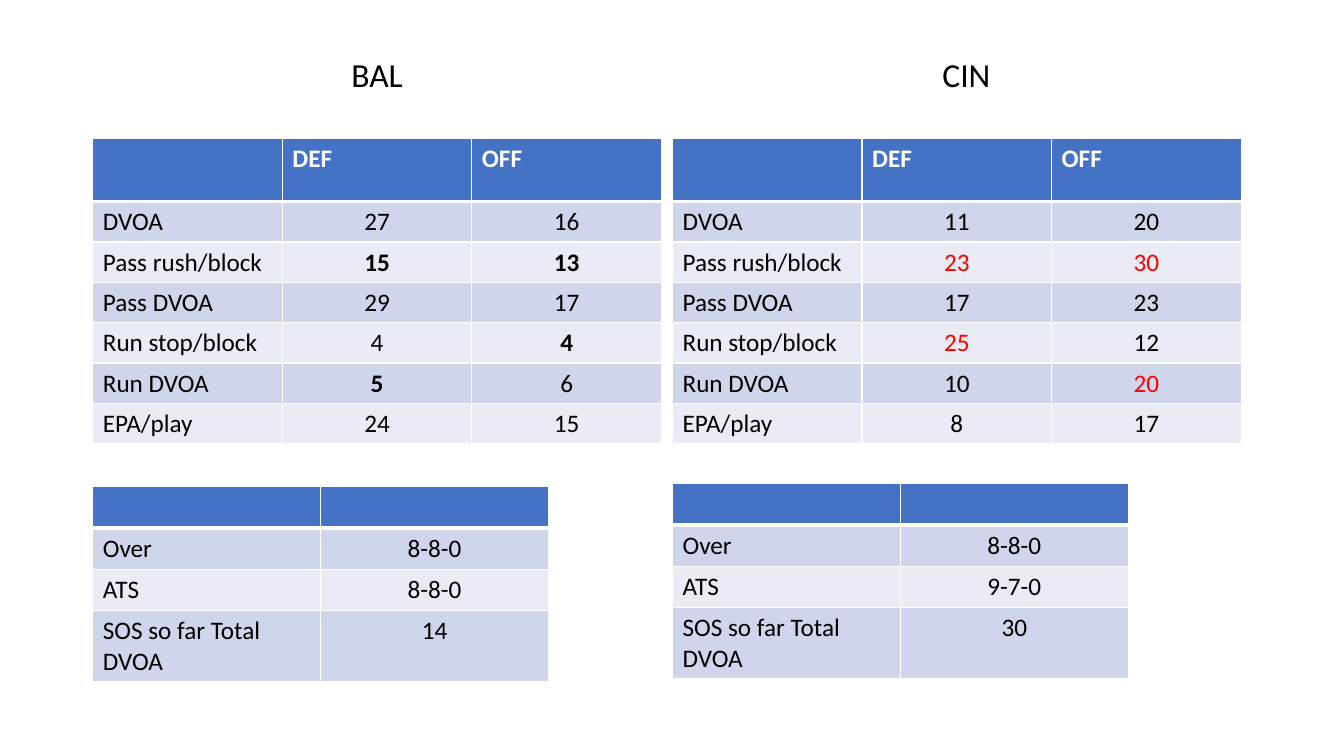
import pptx
import pptx.util
import pptx.dml.color
import pptx.enum.text
import pptx.oxml
import pptx.oxml.ns

COLORS = {
    "header": "4472C4",
    "odd": "CFD5EA",
    "even": "E9EBF5",
    "white": "FFFFFF",
    "black": "000000",
    "red": "FF0000",
}
RANK_LABELS = ["DVOA", "Pass rush/block", "Pass DVOA", "Run stop/block", "Run DVOA", "EPA/play"]
RECORD_LABELS = ["Over", "ATS", "SOS so far Total DVOA"]
BOLD = {"bold": True}
RED = {"color": "red"}
TEAMS = [
    {
        "name": "BAL",
        "left": 0.92,
        "title": (0.92, 5.64),
        "ranks": [(27, 16), (15, 13), (29, 17), (4, 4), (5, 6), (24, 15)],
        "marked": {(2, 1), (2, 2), (4, 2), (5, 1)},
        "mark": BOLD,
        "records": ["8-8-0", "8-8-0", "14"],
        "records_top": 4.83,
    },
    {
        "name": "CIN",
        "left": 6.67,
        "title": (6.75, 5.67),
        "ranks": [(11, 20), (23, 30), (17, 23), (25, 12), (10, 20), (8, 17)],
        "marked": {(2, 1), (2, 2), (4, 1), (5, 2)},
        "mark": RED,
        "records": ["8-8-0", "9-7-0", "30"],
        "records_top": 4.8,
    },
]
TITLE_TOP, TITLE_HEIGHT = 0.09, 0.9
RANKS_TOP = 1.37
RANK_COLUMNS, RANK_ROWS = [1.88] * 3, [0.63] + [0.4] * 6
RECORD_COLUMNS, RECORD_ROWS = [2.26] * 2, [0.41] * 3 + [0.69]

inches = pptx.util.Inches
ALIGN = pptx.enum.text.PP_ALIGN


def rgb(name):
    return pptx.dml.color.RGBColor.from_string(COLORS[name])


def write(frame, text, size=18, color="black", bold=False, align=ALIGN.LEFT):
    paragraph = frame.paragraphs[0]
    paragraph.alignment = align
    run = paragraph.add_run()
    run.text = text
    run.font.name = "Calibri"
    run.font.size = pptx.util.Pt(size)
    run.font.bold = bold
    run.font.color.rgb = rgb(color)
    return paragraph


def add_borders(cell, header):
    properties = cell._tc.get_or_add_tcPr()
    for side in "LRTB":
        points = 3 if header and side == "B" else 1
        properties.append(pptx.oxml.parse_xml(
            f'<a:ln{side} {pptx.oxml.ns.nsdecls("a")} w="{pptx.util.Pt(points)}">'
            f'<a:solidFill><a:srgbClr val="{COLORS["white"]}"/></a:solidFill></a:ln{side}>'
        ))


def add_grid(slide, left, top, columns, heights, rows, marked=(), mark=None):
    table = slide.shapes.add_table(
        len(rows), len(columns), inches(left), inches(top),
        inches(sum(columns)), inches(sum(heights)),
    ).table
    for column, width in zip(table.columns, columns):
        column.width = inches(width)
    for r, (row, height) in enumerate(zip(rows, heights)):
        table.rows[r].height = inches(height)
        for c, text in enumerate(row):
            cell = table.cell(r, c)
            add_borders(cell, r == 0)
            cell.fill.solid()
            cell.fill.fore_color.rgb = rgb("header" if r == 0 else "odd" if r % 2 else "even")
            if r == 0:
                style = {"color": "white", "bold": True}
            else:
                style = {"align": ALIGN.CENTER if c else ALIGN.LEFT}
            if (r, c) in marked:
                style.update(mark)
            if text:
                write(cell.text_frame, text, **style)


def add_title(slide, text, left, width):
    box = slide.shapes.add_textbox(
        inches(left), inches(TITLE_TOP), inches(width), inches(TITLE_HEIGHT)
    )
    frame = box.text_frame
    frame.word_wrap = True
    frame.vertical_anchor = pptx.enum.text.MSO_ANCHOR.BOTTOM
    paragraph = write(frame, text, size=24, align=ALIGN.CENTER)
    paragraph.line_spacing = 0.9
    paragraph.space_before = pptx.util.Pt(10)


def main():
    presentation = pptx.Presentation()
    presentation.slide_width = inches(13.33)
    presentation.slide_height = inches(7.5)
    slide = presentation.slides.add_slide(presentation.slide_layouts[6])
    for team in TEAMS:
        add_title(slide, team["name"], *team["title"])
        ranks = [("", "DEF", "OFF")] + [
            (label, str(defense), str(offense))
            for label, (defense, offense) in zip(RANK_LABELS, team["ranks"])
        ]
        add_grid(slide, team["left"], RANKS_TOP, RANK_COLUMNS, RANK_ROWS, ranks,
                 team["marked"], team["mark"])
        records = [("", "")] + list(zip(RECORD_LABELS, team["records"]))
        add_grid(slide, team["left"], team["records_top"], RECORD_COLUMNS, RECORD_ROWS, records)
    presentation.save("out.pptx")


if __name__ == "__main__":
    main()
